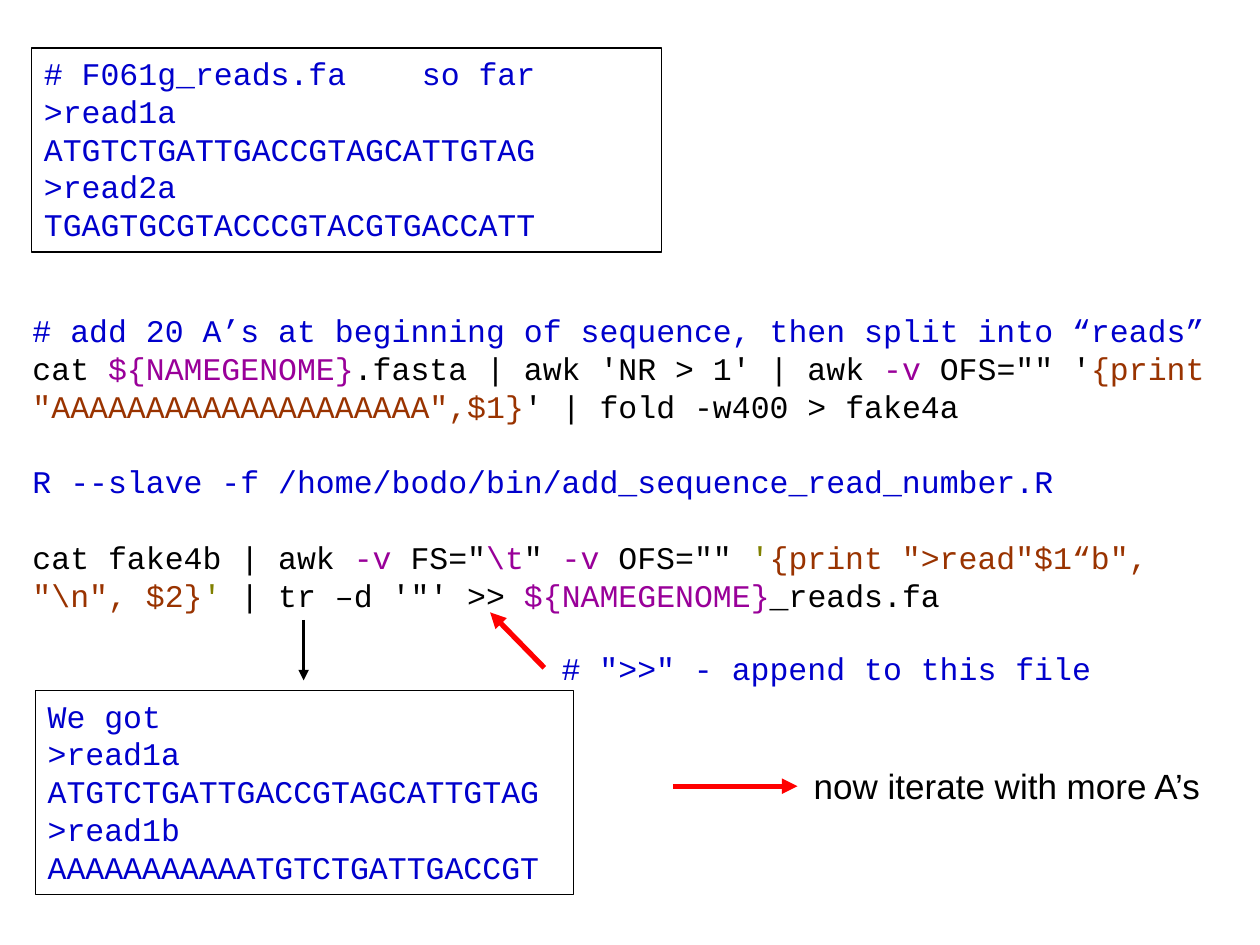
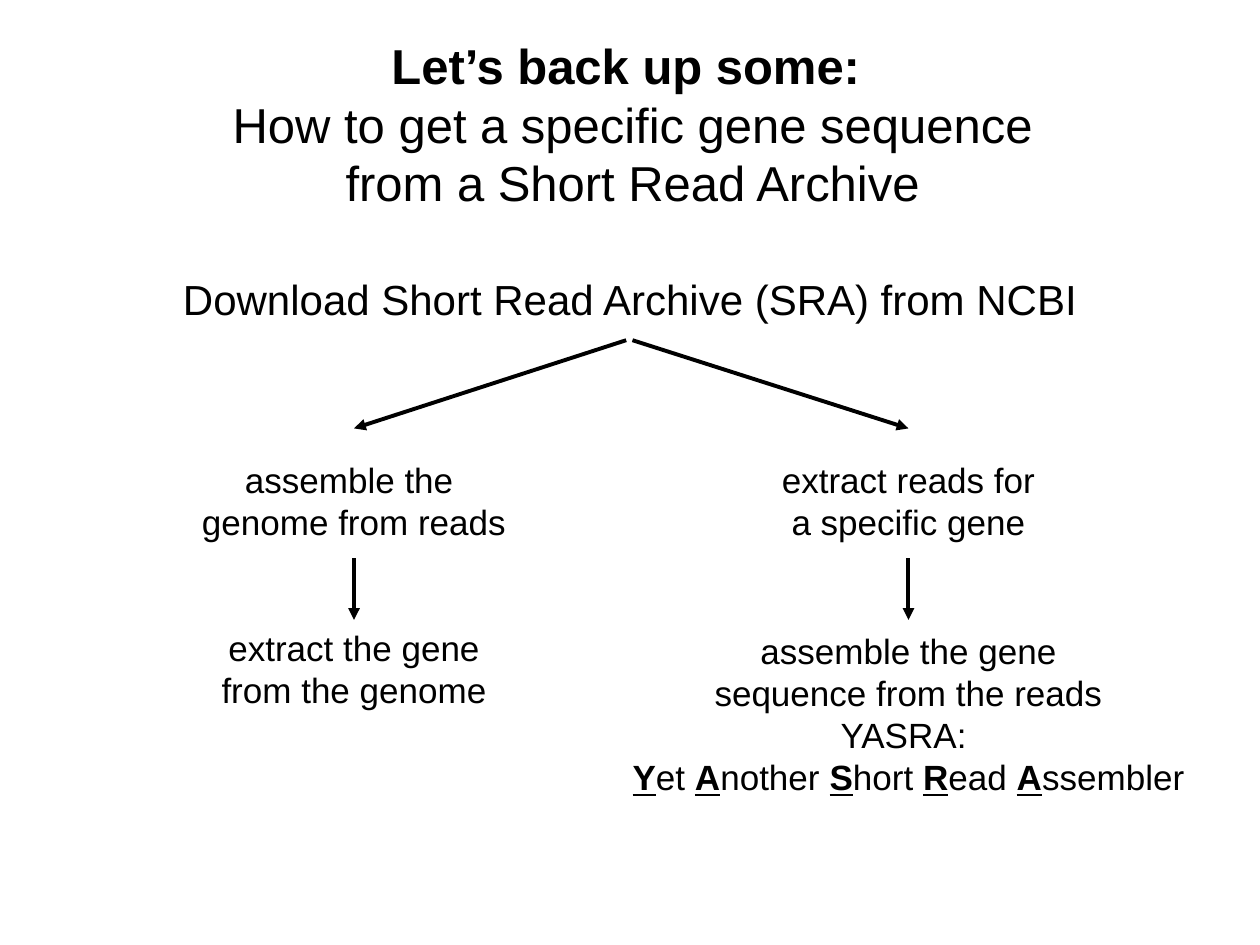
import pptx
import pptx.util
import pptx.dml.color
import pptx.enum.shapes
import pptx.enum.text
import lxml.etree

Inches, Pt = pptx.util.Inches, pptx.util.Pt
ALIGN = pptx.enum.text.PP_ALIGN

# ---- Shared look ----
COLOURS = {"black": "000000", "comment": "0000CC", "variable": "990099",
           "program": "993300", "quote": "808000", "pointer": "FF0000"}
CODE = {"name": "Courier New", "size": Pt(18), "colour": "comment"}
TITLE = {"name": "Arial", "size": Pt(28), "colour": "black"}
LEAD = {**TITLE, "size": Pt(24)}
LABEL = {**TITLE, "size": Pt(20)}
PLAIN = {"colour": "black"}
VARIABLE = {"colour": "variable"}
PROGRAM = {"colour": "program"}
QUOTE = {"colour": "quote"}
BOLD = {"bold": True}
INITIAL = {"bold": True, "underline": True}
BLANK_LINE = Pt(21.6)

# ---- Content: a paragraph is a string or a list of (text, format) runs ----
READS_SO_FAR = ["# F061g_reads.fa \tso far", ">read1a", "ATGTCTGATTGACCGTAGCATTGTAG",
                ">read2a", "TGAGTGCGTACCCGTACGTGACCATT"]
READS_RESULT = ["We got", ">read1a", "ATGTCTGATTGACCGTAGCATTGTAG",
                ">read1b", "AAAAAAAAAAATGTCTGATTGACCGT"]
COMMANDS = [
    "# add 20 A’s at beginning of sequence, then split into “reads”",
    [("cat ", PLAIN), ("${NAMEGENOME}", VARIABLE),
     (".fasta | awk 'NR > 1' | awk ", PLAIN), ("-v", VARIABLE), (" OFS=\"\" '", PLAIN),
     ('{print "AAAAAAAAAAAAAAAAAAAA",$1}', PROGRAM), ("' | fold -w400 > fake4a", PLAIN)],
    "R --slave -f /home/bodo/bin/add_sequence_read_number.R",
    [("cat fake4b | awk ", PLAIN), ("-v ", VARIABLE), ('FS="', PLAIN), ("\\t", VARIABLE),
     ('" ', PLAIN), ("-v", VARIABLE), (' OFS="" ', PLAIN), ("'", QUOTE),
     ('{print ">read"$1“b", "\\n", $2}', PROGRAM), ("'", QUOTE),
     (" | tr –d '\"' >> ", PLAIN), ("${NAMEGENOME}", VARIABLE), ("_reads.fa", PLAIN)],
]
COMMANDS_AFTER_GAP = (2, 3)
APPEND_NOTE = ['# ">>" - append to this file']
ITERATE_NOTE = ["now iterate with more A’s"]

BACK_UP_TITLE = [[("Let’s back up some: ", BOLD)],
                 "How to get a specific gene sequence", "from a Short Read Archive"]
DOWNLOAD = ["Download Short Read Archive (SRA) from NCBI"]
YASRA = [run for word in ("Yet ", "Another ", "Short ", "Read ", "Assembler")
         for run in ((word[0], INITIAL), (word[1:], {}))]
# Each branch: centre, start of its arrow, then (top, width, lines) per step
BRANCHES = [
    (2.81, 4.97, [(3.59, 2.63, ["assemble the ", "genome from reads"]),
                  (4.92, 2.39, ["extract the gene", "from the genome"])]),
    (7.21, 5.02, [(3.59, 2.22, ["extract reads for", "a specific gene"]),
                  (4.95, 4.58, ["assemble the gene", "sequence from the reads",
                                "YASRA: ", YASRA])]),
]
FORK_TOP, FORK_BOTTOM = 2.7, 3.4
STEP_ARROW_TOP, STEP_ARROW_BOTTOM = 4.43, 4.92


def rgb(colour):
    return pptx.dml.color.RGBColor.from_string(COLOURS[colour])


def write(frame, paragraphs, style, align=ALIGN.LEFT, wrap=True, after_gap=()):
    """Fill a text frame, with a blank line's space before chosen paragraphs."""
    frame.auto_size = pptx.enum.text.MSO_AUTO_SIZE.NONE
    frame.word_wrap = wrap
    frame.vertical_anchor = pptx.enum.text.MSO_ANCHOR.TOP
    for index, content in enumerate(paragraphs):
        paragraph = frame.paragraphs[0] if index == 0 else frame.add_paragraph()
        paragraph.alignment = align
        if index in after_gap:
            paragraph.space_before = BLANK_LINE
        runs = [(content, {})] if isinstance(content, str) else content
        for text, changes in runs:
            run = paragraph.add_run()
            run.text = text
            for key, value in {**style, **changes}.items():
                if key == "colour":
                    run.font.color.rgb = rgb(value)
                else:
                    setattr(run.font, key, value)


def add_text(slide, place, paragraphs, style, **options):
    box = slide.shapes.add_textbox(*map(Inches, place))
    write(box.text_frame, paragraphs, style, **options)


def add_reads_panel(slide, place, reads):
    panel = slide.shapes.add_shape(pptx.enum.shapes.MSO_SHAPE.RECTANGLE, *map(Inches, place))
    panel.shadow.inherit = False
    panel.fill.background()
    panel.line.color.rgb = rgb("black")
    panel.line.width = Pt(0.75)
    write(panel.text_frame, reads, CODE)


def add_arrow(slide, start, end, width=2.25, colour="black"):
    arrow = slide.shapes.add_connector(pptx.enum.shapes.MSO_CONNECTOR.STRAIGHT,
                                       *map(Inches, (*start, *end)))
    arrow.line.color.rgb = rgb(colour)
    arrow.line.width = Pt(width)
    qn = pptx.oxml.ns.qn
    lxml.etree.SubElement(arrow.line._get_or_add_ln(), qn("a:tailEnd"), type="triangle")
    lxml.etree.SubElement(arrow._element.spPr, qn("a:effectLst"))


def build_append_slide(deck):
    slide = deck.slides.add_slide(deck.slide_layouts.get_by_name("Blank"))
    add_text(slide, (0.16, 2.42, 9.84, 2.54), COMMANDS, CODE, after_gap=COMMANDS_AFTER_GAP)
    add_reads_panel(slide, (0.25, 0.38, 5, 1.62), READS_SO_FAR)
    add_reads_panel(slide, (0.28, 5.48, 4.27, 1.62), READS_RESULT)
    add_text(slide, (4.36, 5.1, 4.57, 0.4), APPEND_NOTE, CODE, wrap=False)
    add_text(slide, (6.36, 6.02, 3.29, 0.44), ITERATE_NOTE, LABEL, wrap=False)
    add_arrow(slide, (2.41, 4.92), (2.41, 5.4), width=1.5)
    for start, end in [((4.32, 5.3), (3.89, 4.86)), ((5.34, 6.24), (6.33, 6.24))]:
        add_arrow(slide, start, end, width=3, colour="pointer")


def build_overview_slide(deck):
    slide = deck.slides.add_slide(deck.slide_layouts.get_by_name("Title Only"))
    title = slide.shapes.title
    title.left, title.top, title.width, title.height = map(Inches, (0.2, 0.23, 9.64, 1.51))
    write(title.text_frame, BACK_UP_TITLE, TITLE, align=ALIGN.CENTER)
    add_text(slide, (0, 2.12, 10, 0.51), DOWNLOAD, LEAD, align=ALIGN.CENTER)

    # Two routes to the gene
    for centre, fork_x, steps in BRANCHES:
        add_arrow(slide, (fork_x, FORK_TOP), (centre, FORK_BOTTOM))
        add_arrow(slide, (centre, STEP_ARROW_TOP), (centre, STEP_ARROW_BOTTOM))
        for top, width, lines in steps:
            height = 0.1 + len(lines) * 0.34
            add_text(slide, (centre - width / 2, top, width, height), lines, LABEL,
                     align=ALIGN.CENTER, wrap=False)


def main():
    deck = pptx.Presentation()
    deck.slide_width, deck.slide_height = Inches(10), Inches(7.5)
    build_append_slide(deck)
    build_overview_slide(deck)
    deck.save("out.pptx")


if __name__ == "__main__":
    main()
